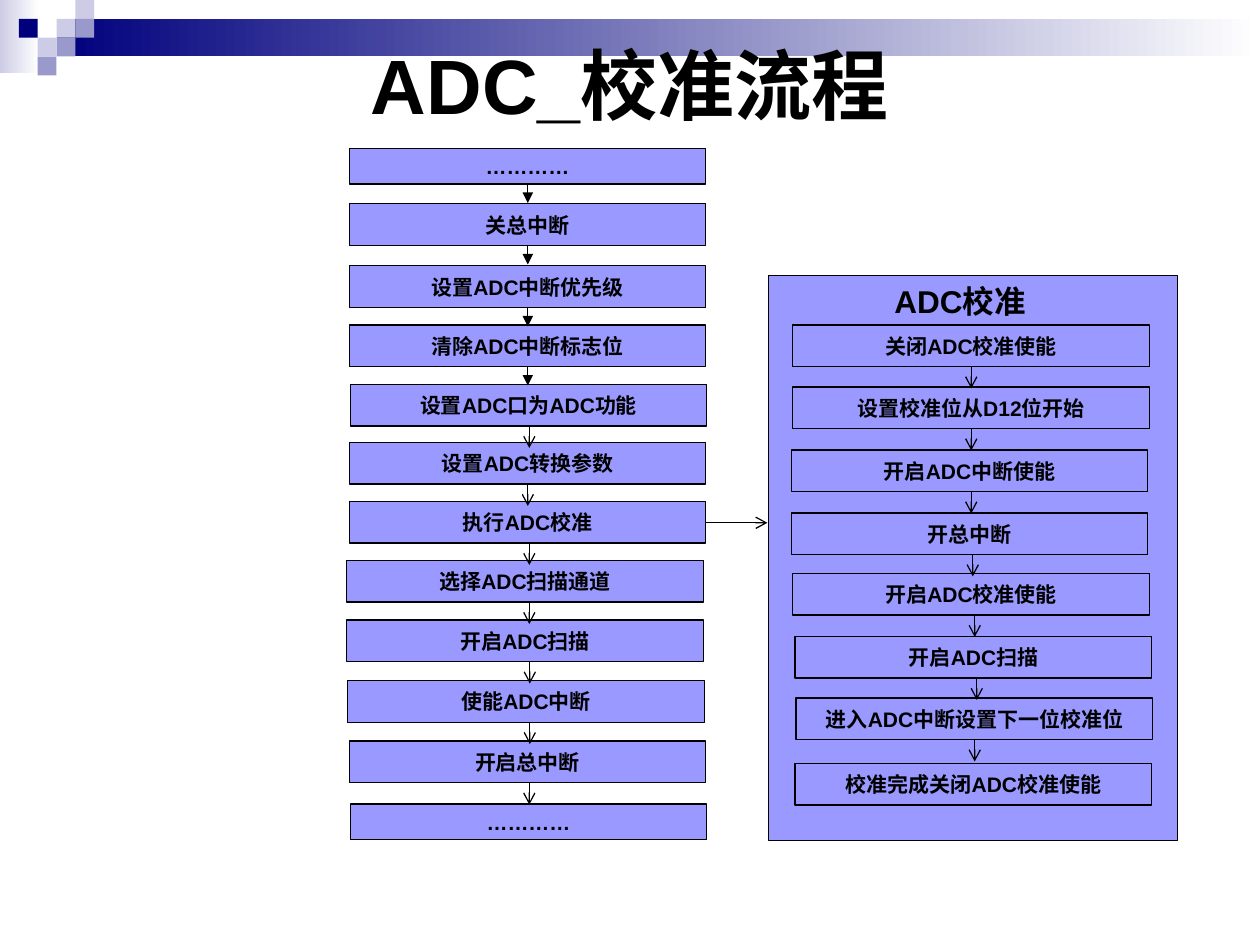
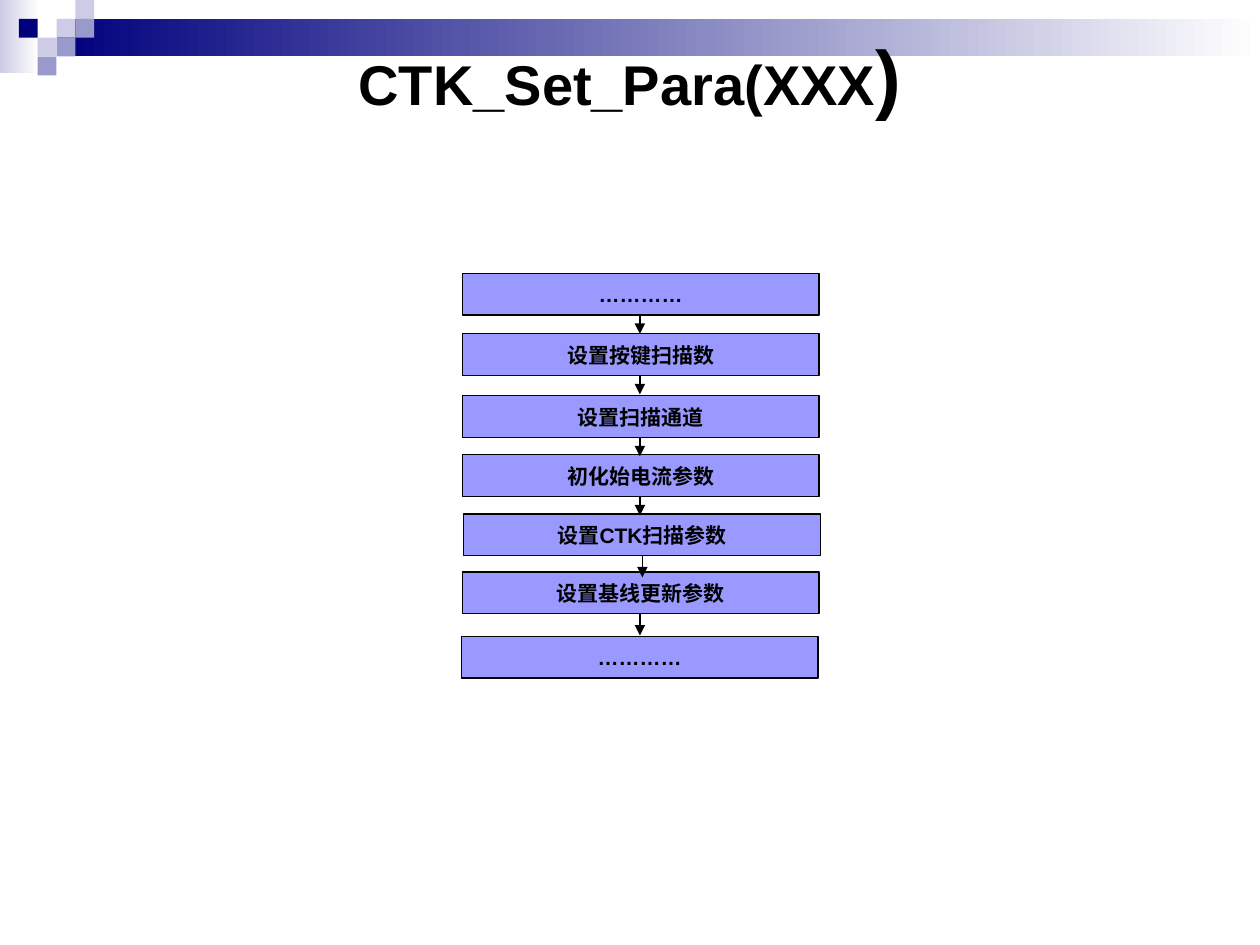
from dataclasses import dataclass
from lxml.etree import SubElement
from pptx import Presentation
from pptx.dml.color import RGBColor
from pptx.enum.shapes import MSO_CONNECTOR as Link, MSO_SHAPE as Form
from pptx.enum.text import MSO_ANCHOR as Anchor, PP_ALIGN as Align
from pptx.oxml.ns import qn
from pptx.util import Cm, Pt

COLORS = {"navy": "00007D", "mist": "CCCCE6", "slate": "9999CC",
          "box": "9999FF", "white": "FFFFFF", "black": "000000"}
FONT = "Arial"
TILE = 0.38
TILES = [(3, 1, "mist"), (4, 0, "mist"), (4, 1, "slate"), (2, 2, "mist"),
         (1, 1, "navy"), (3, 2, "slate"), (2, 3, "slate")]
BOX_W, BOX_H, SLIM_H = 7.19, 0.84, 0.71
SHORT, LONG = 0.38, 0.44
DOTS = "…………"


@dataclass
class Step:
    """A box, and the arrow that leaves it at axis; no axis, no arrow."""
    text: str
    left: float
    top: float
    axis: float | None = None
    head: str = "arrow"
    drop: float = LONG
    height: float = BOX_H


MAIN = [
    Step(DOTS, 7.04, 3.0, 10.64, "triangle", SHORT, SLIM_H),
    Step("关总中断", 7.04, 4.11, 10.64, "triangle", SHORT),
    Step("设置ADC中断优先级", 7.04, 5.36, 10.64, "triangle", SHORT),
    Step("清除ADC中断标志位", 7.04, 6.55, 10.64, "triangle", SHORT),
    Step("设置ADC口为ADC功能", 7.06, 7.75, 10.67),
    Step("设置ADC转换参数", 7.04, 8.92, 10.64),
    Step("执行ADC校准", 7.04, 10.11, 10.67),
    Step("选择ADC扫描通道", 6.99, 11.3, 10.67),
    Step("开启ADC扫描", 6.99, 12.5, 10.68),
    Step("使能ADC中断", 7.01, 13.72, 10.68),
    Step("开启总中断", 7.04, 14.94, 10.67),
    Step(DOTS, 7.06, 16.21, height=SLIM_H),
]
DETAIL = [
    Step("关闭ADC校准使能", 15.98, 6.55, 19.58),
    Step("设置校准位从D12位开始", 15.98, 7.8, 19.58),
    Step("开启ADC中断使能", 15.95, 9.07, 19.58),
    Step("开总中断", 15.95, 10.34, 19.61),
    Step("开启ADC校准使能", 15.98, 11.56, 19.65),
    Step("开启ADC扫描", 16.03, 12.83, 19.69),
    Step("进入ADC中断设置下一位校准位", 16.05, 14.07, 19.65),
    Step("校准完成关闭ADC校准使能", 16.03, 15.39),
]
PARAM = [
    Step(DOTS, 9.32, 5.51, 12.9, "triangle", SHORT),
    Step("设置按键扫描数", 9.32, 6.73, 12.9, "triangle", SHORT),
    Step("设置扫描通道", 9.32, 7.98, 12.9, "triangle", SHORT),
    Step("初化始电流参数", 9.32, 9.17, 12.9, "triangle", SHORT),
    Step("设置CTK扫描参数", 9.35, 10.36, 12.95, "triangle"),
    Step("设置基线更新参数", 9.32, 11.53, 12.9, "triangle"),
    Step(DOTS, 9.3, 12.83),
]


def color(name: str) -> RGBColor:
    return RGBColor.from_string(COLORS[name])


def style(font, size: float) -> None:
    font.name, font.size, font.bold = FONT, Pt(size), True
    font.color.rgb = color("black")


def add_rect(slide, left: float, top: float, width: float, height: float,
             fill: str, fade: bool = False):
    """Plain rectangle; fade runs the fill out to white on the right."""
    rect = slide.shapes.add_shape(Form.RECTANGLE, Cm(left), Cm(top), Cm(width), Cm(height))
    rect.shadow.inherit = False
    rect.line.fill.background()
    if fade:
        rect.fill.gradient()
        rect.fill.gradient_angle = 0
        for stop, name in zip(rect.fill.gradient_stops, (fill, "white")):
            stop.color.rgb = color(name)
    else:
        rect.fill.solid()
        rect.fill.fore_color.rgb = color(fill)
    return rect


def add_box(slide, text: str, left: float, top: float, width: float,
            height: float, size: float = 12):
    """Outlined box with a centred label."""
    box = add_rect(slide, left, top, width, height, "box")
    box.line.color.rgb = color("black")
    box.line.width = Pt(0.75)
    frame = box.text_frame
    frame.word_wrap = False
    frame.vertical_anchor = Anchor.MIDDLE
    para = frame.paragraphs[0]
    para.text, para.alignment = text, Align.CENTER
    style(para.font, size)
    return box


def add_arrow(slide, x1: float, y1: float, x2: float, y2: float, head: str) -> None:
    arrow = slide.shapes.add_connector(Link.STRAIGHT, Cm(x1), Cm(y1), Cm(x2), Cm(y2))
    arrow.line.color.rgb = color("black")
    arrow.line.width = Pt(0.75)
    props = arrow.element.spPr
    SubElement(props.find(qn("a:ln")), qn("a:tailEnd"), type=head)
    SubElement(props, qn("a:effectLst"))


def add_flow(slide, steps: list[Step]) -> None:
    for step in steps:
        add_box(slide, step.text, step.left, step.top, BOX_W, step.height)
    for step in steps:
        if step.axis is not None:
            end = step.top + step.height
            add_arrow(slide, step.axis, end, step.axis, end + step.drop, step.head)


def add_page(deck, top: float, title: list[tuple[str, int]]):
    """New slide with the banner and a title of (text, size) runs."""
    slide = deck.slides.add_slide(deck.slide_layouts[6])
    add_rect(slide, 0, 0, 0.79, 1.47, "mist", fade=True)
    add_rect(slide, 3 * TILE, TILE, 25.4 - 3 * TILE, 2 * TILE, "navy", fade=True)
    for col, row, fill in TILES:
        add_rect(slide, col * TILE, row * TILE, TILE, TILE, fill)
    frame = slide.shapes.add_textbox(Cm(1.27), Cm(top), Cm(22.86), Cm(0.84)).text_frame
    frame.word_wrap = True
    frame.vertical_anchor = Anchor.MIDDLE
    para = frame.paragraphs[0]
    para.alignment = Align.CENTER
    for text, size in title:
        run = para.add_run()
        run.text = text
        style(run.font, size)
    return slide


def add_panel(slide) -> None:
    panel = add_box(slide, "ADC校准", 15.49, 5.56, 8.25, 11.38, 18)
    frame = panel.text_frame
    frame.word_wrap = True
    frame.vertical_anchor = Anchor.TOP
    frame.margin_left = Cm(2.54)
    frame.paragraphs[0].alignment = Align.LEFT


def main() -> None:
    deck = Presentation()
    deck.slide_width, deck.slide_height = Cm(25.4), Cm(19.05)

    slide = add_page(deck, 1.27, [("ADC_校准流程", 44)])
    add_flow(slide, MAIN)
    add_panel(slide)
    add_flow(slide, DETAIL)
    add_arrow(slide, 14.22, 10.54, 15.47, 10.54, "arrow")

    slide = add_page(deck, 1.09, [("CTK_Set_Para(XXX", 32), (")", 44)])
    add_flow(slide, PARAM)

    deck.save("out.pptx")


if __name__ == "__main__":
    main()
